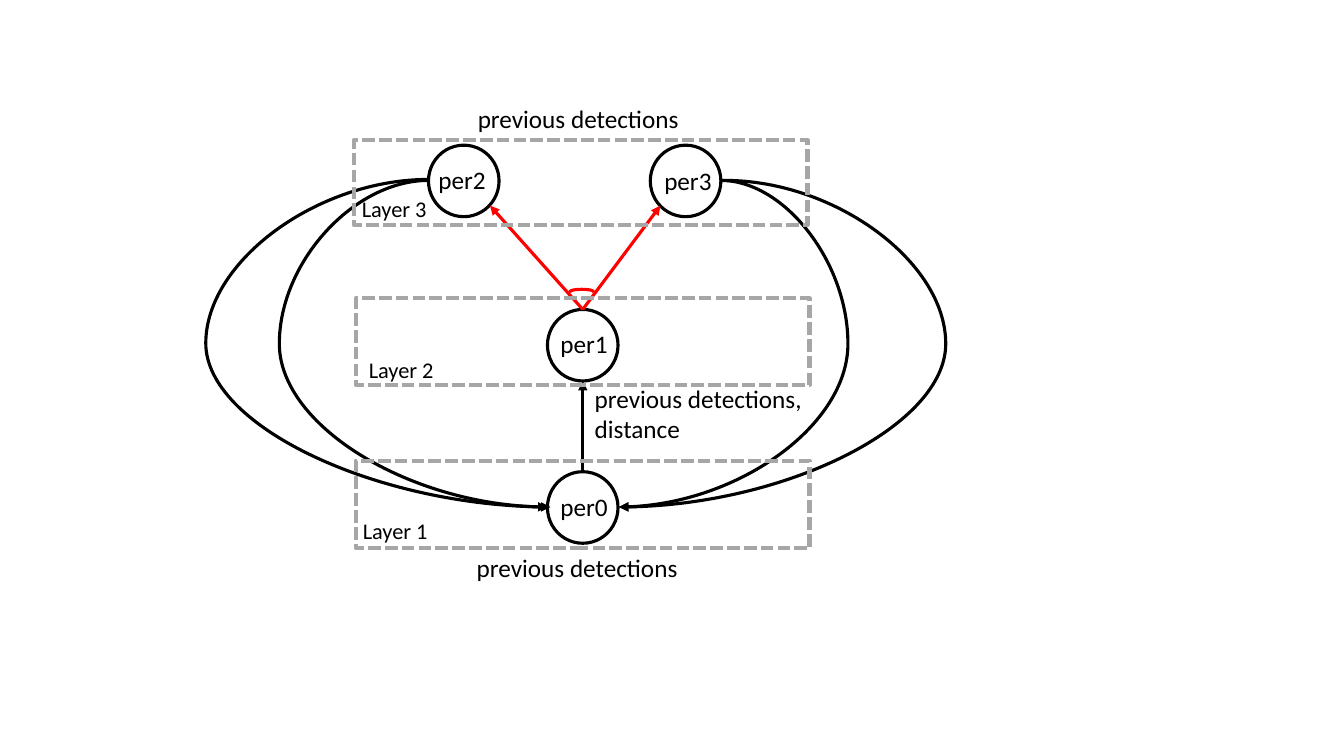
from dataclasses import dataclass

from lxml import etree
from pptx import Presentation
from pptx import util as u
from pptx.dml.color import RGBColor
from pptx.enum import dml, shapes, text
from pptx.oxml.ns import qn

PX = 9144  # EMU per px, 100 px to the inch


@dataclass(frozen=True)
class Theme:
    font: str = "Calibri"
    ink: str = "000000"
    paper: str = "FFFFFF"
    accent: str = "FF0000"
    frame: str = "A6A6A6"
    label_size: int = 18
    layer_size: int = 16
    stroke: float = 2.25
    frame_stroke: float = 3


THEME = Theme()
NODE_W, NODE_H = 70, 71
FRAME_W = 450


def px(*lengths):
    return [u.Emu(length * PX) for length in lengths]


def style_line(line, color, width=THEME.stroke):
    line.color.rgb = RGBColor.from_string(color)
    line.width = u.Pt(width)


def add_outline(page, kind, left, top, width, height, color, stroke=THEME.stroke):
    shape = page.shapes.add_shape(kind, *px(left, top, width, height))
    shape.shadow.inherit = False
    shape.fill.background()
    style_line(shape.line, color, stroke)
    return shape


def add_node(page, left, top):
    node = add_outline(page, shapes.MSO_SHAPE.OVAL, left, top, NODE_W, NODE_H, THEME.ink)
    node.fill.solid()
    node.fill.fore_color.rgb = RGBColor.from_string(THEME.paper)


def add_layer_frame(page, left, top, height):
    frame = add_outline(page, shapes.MSO_SHAPE.RECTANGLE, left, top, FRAME_W, height,
                        THEME.frame, THEME.frame_stroke)
    frame.line.dash_style = dml.MSO_LINE.SQUARE_DOT


def add_label(page, words, left, top, width, height=40, size=THEME.label_size):
    box = page.shapes.add_textbox(*px(left, top, width, height))
    box.text_frame.word_wrap = True
    box.text_frame.auto_size = text.MSO_AUTO_SIZE.SHAPE_TO_FIT_TEXT
    para = box.text_frame.paragraphs[0]
    span = para.add_run()
    span.text = words
    span.font.name = THEME.font
    span.font.size = u.Pt(size)
    span.font.color.rgb = RGBColor.from_string(THEME.ink)


def add_arrow(page, start, end, color=THEME.ink, bulge_x=None):
    """Straight arrow, or a curved one whose middle is pulled out to bulge_x."""
    kind = shapes.MSO_CONNECTOR.STRAIGHT if bulge_x is None else shapes.MSO_CONNECTOR.CURVE
    arrow = page.shapes.add_connector(kind, *px(*start, *end))
    style_line(arrow.line, color)
    properties = arrow._element.spPr
    etree.SubElement(properties.find(qn("a:ln")), qn("a:tailEnd"), type="triangle")
    etree.SubElement(properties, qn("a:effectLst"))
    if bulge_x is not None:
        ratio = (bulge_x - start[0]) / (end[0] - start[0])
        guides = properties.find(qn("a:prstGeom")).get_or_add_avLst()
        etree.SubElement(guides, qn("a:gd"), name="adj1", fmla=f"val {round(ratio * 100000)}")


def main():
    deck = Presentation()
    deck.slide_width, deck.slide_height = px(1333, 750)
    page = deck.slides.add_slide(deck.slide_layouts[6])

    # Nodes and their names
    for left, top in [(543, 468), (543, 307), (425, 144), (645, 144)]:
        add_node(page, left, top)
    for name, left, top, width in [("per0", 546, 483, 67), ("per1", 546, 321, 82),
                                   ("per2", 425, 158, 70), ("per3", 649, 159, 70)]:
        add_label(page, name, left, top, width)

    # Straight arrows, with the arc joining the red pair
    add_arrow(page, (578, 468), (578, 378))
    for tip_x in (486, 655):
        add_arrow(page, (578, 307), (tip_x, 204), THEME.accent)
    arc = add_outline(page, shapes.MSO_SHAPE.ARC, 565, 287, 24, 5, THEME.accent)
    arc.adjustments[0] = 107.69
    arc.adjustments[1] = 0

    # Curved arrows from the top layer back to per0
    for start, end, bulge_x in [((425, 179), (543, 503), 277), ((715, 179), (614, 503), 841),
                                ((425, 178), (546, 503), 204), ((719, 179), (614, 503), 938)]:
        add_arrow(page, start, end, bulge_x=bulge_x)

    # Edge captions
    add_label(page, "previous detections", 463, 543, 228)
    add_label(page, "previous detections, distance", 580, 375, 228, 71)
    add_label(page, "previous detections", 464, 98, 228)

    # Layer frames and their names
    for left, top, height in [(353, 457, 87), (353, 296, 86), (351, 139, 84)]:
        add_layer_frame(page, left, top, height)
    for number, (left, top) in enumerate([(350, 508), (356, 348), (349, 189)], start=1):
        add_label(page, f"Layer {number}", left, top, 101, 37, THEME.layer_size)

    deck.save("out.pptx")


if __name__ == "__main__":
    main()
